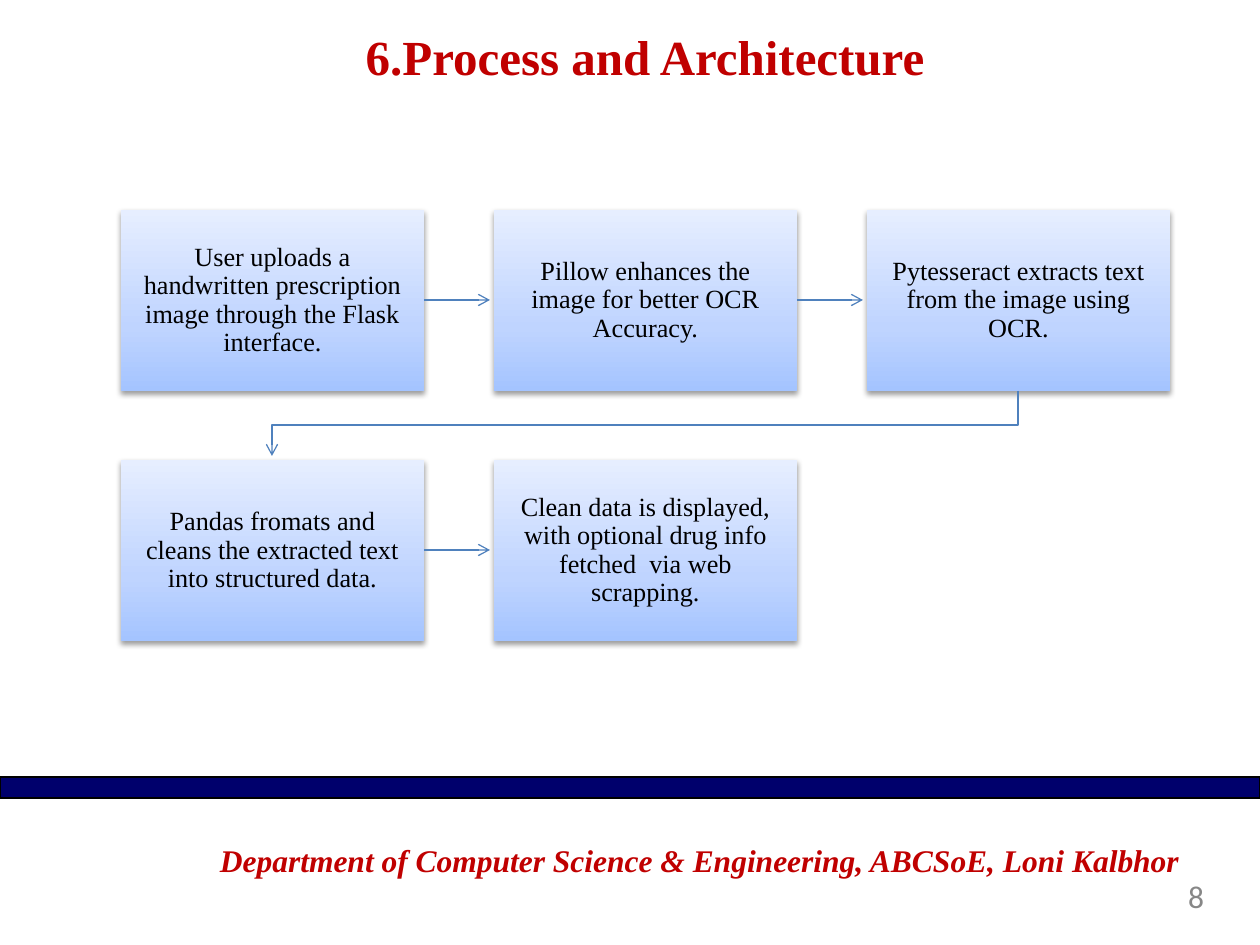
from copy import deepcopy
from dataclasses import dataclass

from lxml.etree import SubElement
from pptx import Presentation
from pptx.dml.color import RGBColor
from pptx.enum.shapes import MSO_CONNECTOR, MSO_SHAPE
from pptx.enum.text import MSO_ANCHOR, MSO_AUTO_SIZE, PP_ALIGN
from pptx.oxml.ns import qn
from pptx.util import Pt


@dataclass(frozen=True)
class Theme:
    """Colours, fonts and type sizes of the deck."""
    red: str = "C00000"
    navy: str = "00006C"
    black: str = "000000"
    grey: str = "878787"
    arrow: str = "4F81BD"
    gradient: tuple = ((0, "A4C4FF"), (0.35, "BFD4FF"), (1, "E6EEFF"))
    serif: str = "Times New Roman"
    sans: str = "Calibri"
    title: int = 28
    footer: int = 18
    step: int = 15


THEME = Theme()
SCALE = 914400 / 126
STEPS = [
    "User uploads a handwritten prescription image through the Flask interface.",
    "Pillow enhances the image for better OCR Accuracy.",
    "Pytesseract extracts text from the image using OCR.",
    "Pandas fromats and cleans the extracted text into structured data.",
    "Clean data is displayed, with optional drug info fetched  via web scrapping.",
]


def px(n):
    """Turn px into EMU."""
    return round(n * SCALE)


def rgb(code):
    """Turn a hex code into a colour."""
    return RGBColor.from_string(code)


def style(p, size, color, name=THEME.serif, bold=False, italic=False, align=PP_ALIGN.CENTER):
    """Set the font and alignment of a paragraph."""
    f = p.font
    f.size, f.name, f.bold, f.italic = Pt(size), name, bold, italic
    f.color.rgb = rgb(color)
    p.alignment = align


def frame(tf, inset=0, anchor=MSO_ANCHOR.TOP):
    """Set wrapping, insets and anchor of a text frame."""
    tf.word_wrap, tf.auto_size, tf.vertical_anchor = True, MSO_AUTO_SIZE.NONE, anchor
    tf.margin_left = tf.margin_right = tf.margin_top = tf.margin_bottom = px(inset)


def add_title(s, x, y, w, h):
    """Place the slide title."""
    sp = s.shapes.title
    sp.left, sp.top, sp.width, sp.height = map(px, (x, y, w, h))
    frame(sp.text_frame)
    p = sp.text_frame.paragraphs[0]
    p.text = "6.Process and Architecture"
    style(p, THEME.title, THEME.red, bold=True)


def add_bar(s, x, y, w, h):
    """Draw the dividing bar."""
    sp = s.shapes.add_shape(MSO_SHAPE.RECTANGLE, *map(px, (x, y, w, h)))
    sp.shadow.inherit = False
    sp.fill.solid()
    sp.fill.fore_color.rgb = rgb(THEME.navy)
    sp.line.color.rgb = rgb(THEME.black)
    sp.line.width = Pt(0.72)


def add_footer(s, x, y, w, h):
    """Write the department line with the page number below it."""
    tf = s.shapes.add_textbox(*map(px, (x, y, w, h))).text_frame
    frame(tf)
    p = tf.paragraphs[0]
    p.text = "Department of Computer Science & Engineering, ABCSoE, Loni Kalbhor"
    p.line_spacing = Pt(19.8)
    style(p, THEME.footer, THEME.red, bold=True, italic=True, align=PP_ALIGN.LEFT)
    p = tf.add_paragraph()
    p.text = "8"
    p.line_spacing = Pt(20.8)
    style(p, THEME.footer, THEME.grey, THEME.sans, align=PP_ALIGN.RIGHT)


def add_gradient(sp):
    """Fill a shape with the theme gradient, darkest at the bottom."""
    sp.fill.gradient()
    sp.fill.gradient_angle = 90
    stops = sp._element.spPr.find(".//" + qn("a:gsLst"))
    stops.append(deepcopy(stops[-1]))
    for stop, (pos, color) in zip(sp.fill.gradient_stops, THEME.gradient):
        stop.position = pos
        stop.color.rgb = rgb(color)


def add_shadow(sp):
    """Give a shape a soft shadow below it."""
    sp.shadow.inherit = False
    effects = sp._element.spPr.find(qn("a:effectLst"))
    outer = SubElement(effects, qn("a:outerShdw"), blurRad="40000", dist="20000",
                       dir="5400000", rotWithShape="0")
    color = SubElement(outer, qn("a:srgbClr"), val=THEME.black)
    SubElement(color, qn("a:alpha"), val="38000")


def add_step(s, text, x, y, w, h):
    """Draw one step of the process."""
    sp = s.shapes.add_shape(MSO_SHAPE.RECTANGLE, *map(px, (x, y, w, h)))
    add_gradient(sp)
    sp.line.fill.background()
    add_shadow(sp)
    frame(sp.text_frame, 15, MSO_ANCHOR.MIDDLE)
    p = sp.text_frame.paragraphs[0]
    p.text = text
    p.line_spacing = 0.9
    style(p, THEME.step, THEME.black)


def style_arrow(sp):
    """Set the line and open head of an arrow."""
    sp.line.color.rgb = rgb(THEME.arrow)
    sp.line.width = Pt(0.75)
    SubElement(sp.line._get_or_add_ln(), qn("a:tailEnd"), type="arrow")


def add_arrow(s, x1, x2, y):
    """Draw a level arrow."""
    c = s.shapes.add_connector(MSO_CONNECTOR.STRAIGHT, *map(px, (x1, y, x2, y)))
    style_arrow(c)
    SubElement(c._element.spPr, qn("a:effectLst"))


def add_return(s, x1, y1, x2, y2):
    """Draw the bent arrow from the end of one row to the start of the next."""
    mid = (y1 + y2) // 2 + 2
    fb = s.shapes.build_freeform(px(x1), px(y1))
    points = [(x1, mid), (x2, mid), (x2, y2)]
    fb.add_line_segments([(px(x), px(y)) for x, y in points], close=False)
    sp = fb.convert_to_shape()
    sp.fill.background()
    style_arrow(sp)
    sp.shadow.inherit = False


def add_process(s, x, y, w, h, cols=3, gap=70, row_gap=69, clear=4):
    """Lay the steps out in rows inside a box and join them."""
    rows = -(-len(STEPS) // cols)
    bw = (w - (cols - 1) * gap) // cols
    bh = (h - (rows - 1) * row_gap) // rows
    for i, text in enumerate(STEPS):
        row, col = divmod(i, cols)
        left, top = x + col * (bw + gap), y + row * (bh + row_gap)
        add_step(s, text, left, top, bw, bh)
        if i == len(STEPS) - 1:
            continue
        if col < cols - 1:
            add_arrow(s, left + bw, left + bw + gap - clear, top + bh // 2)
        else:
            add_return(s, left + bw // 2, top + bh, x + bw // 2, top + bh + row_gap - clear)


def main():
    """Build the slide and save it."""
    prs = Presentation()
    prs.slide_width, prs.slide_height = px(1260), px(945)
    s = prs.slides.add_slide(prs.slide_layouts[5])
    add_bar(s, 0, 777, 1260, 21)
    add_footer(s, 220, 844, 984, 74)
    add_title(s, 73, 27, 1144, 64)
    add_process(s, 121, 210, 1049, 431)
    prs.save("out.pptx")


if __name__ == "__main__":
    main()
